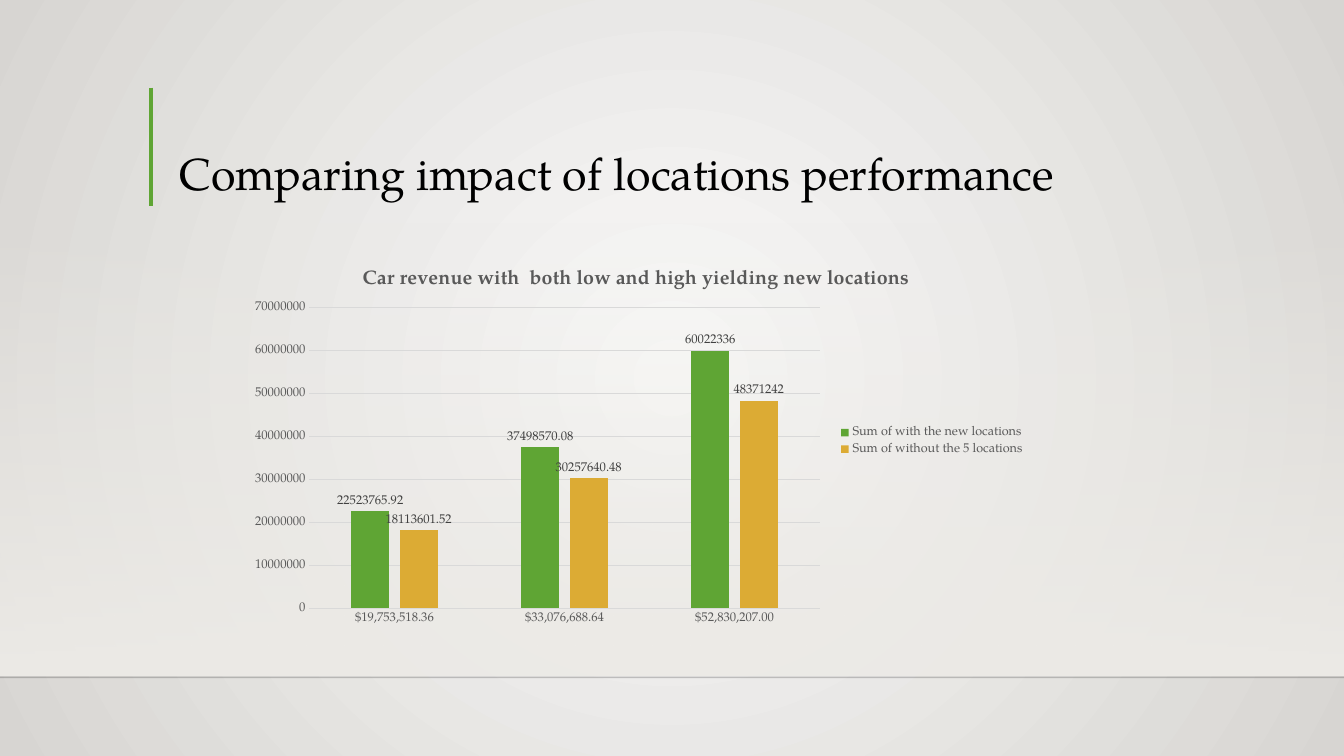
from lxml import etree
from pptx import Presentation
from pptx.chart import data as chart_data
from pptx.dml.color import RGBColor
from pptx.enum import chart as ch, shapes, text
from pptx.oxml import ns, parse_xml
from pptx.util import Cm, Pt

FONT = "TeX Gyre Pagella"
BLACK = RGBColor(0x00, 0x00, 0x00)
RULE = RGBColor(0x00, 0x00, 0x01)
GREEN = RGBColor(0x5F, 0xA5, 0x34)
GOLD = RGBColor(0xDC, 0xAB, 0x34)
AXIS_TEXT = RGBColor(0x59, 0x59, 0x59)
LABEL_TEXT = RGBColor(0x40, 0x40, 0x40)
GRID = RGBColor(0xD9, 0xD9, 0xD9)
CENTRE = RGBColor(0xFA, 0xFA, 0xF9)
EDGE = RGBColor(0xD7, 0xD5, 0xD2)
BAND = RGBColor(0xED, 0xEB, 0xE7)

CATEGORIES = ["$19,753,518.36", "$33,076,688.64", "$52,830,207.00"]
SERIES = [
    ("Sum of with the new locations", GREEN, (22523765.92, 37498570.08, 60022336)),
    ("Sum of without the 5 locations", GOLD, (18113601.52, 30257640.48, 48371242)),
]


def set_alpha(color_parent, percent):
    """Give the first RGB colour below an element an opacity."""
    color = next(color_parent.iter(ns.qn("a:srgbClr")))
    etree.SubElement(color, ns.qn("a:alpha")).set("val", str(percent * 1000))


def set_gradient(fill, start, end):
    fill.gradient()
    for stop, color in zip(fill.gradient_stops, (start, end)):
        stop.color.rgb = color


def style_font(font, size, color, bold=False):
    font.name = FONT
    font.size = Pt(size)
    font.color.rgb = color
    font.bold = bold


def paint_background(slide):
    """Fill the background with a gradient that spreads from the centre."""
    set_gradient(slide.background.fill, CENTRE, EDGE)
    linear = next(slide.element.iter(ns.qn("a:lin")))
    linear.getparent().replace(linear, parse_xml(
        f'<a:path {ns.nsdecls("a")} path="circle">'
        '<a:fillToRect l="50000" t="50000" r="50000" b="50000"/></a:path>'))


def add_band(slide):
    band = slide.shapes.add_shape(
        shapes.MSO_SHAPE.RECTANGLE, 0, Cm(5.59), Cm(33.87), Cm(11.43))
    band.shadow.inherit = False
    band.line.fill.background()
    set_gradient(band.fill, BAND, BAND)
    band.fill.gradient_angle = 270
    set_alpha(band.element.spPr, 0)


def add_line(slide, start, end, color, width):
    line = slide.shapes.add_connector(
        shapes.MSO_CONNECTOR.STRAIGHT, *map(Cm, start + end))
    line.line.color.rgb = color
    line.line.width = Pt(width)
    etree.SubElement(line.element.spPr, ns.qn("a:effectLst"))
    return line


def add_title(slide, wording):
    box = slide.shapes.add_textbox(Cm(4.27), Cm(2.24), Cm(26.44), Cm(2.92))
    frame = box.text_frame
    frame.word_wrap = True
    frame.vertical_anchor = text.MSO_ANCHOR.BOTTOM
    frame.text = wording
    paragraph = frame.paragraphs[0]
    paragraph.line_spacing = 0.9
    style_font(paragraph.runs[0].font, 32, BLACK)


def style_axis(axis):
    axis.major_tick_mark = axis.minor_tick_mark = ch.XL_TICK_MARK.NONE
    style_font(axis.tick_labels.font, 9, AXIS_TEXT)


def style_series(series, color):
    series.format.fill.solid()
    series.format.fill.fore_color.rgb = color
    series.invert_if_negative = False
    labels = series.data_labels
    labels.show_value = True
    labels.position = ch.XL_LABEL_POSITION.OUTSIDE_END
    style_font(labels.font, 9, LABEL_TEXT)


def place_plot(chart, **fractions):
    """Fix the inner plot area as fractions (x, y, w, h) of the chart."""
    plot_area = next(chart.element.iter(ns.qn("c:plotArea")))
    for old in plot_area.findall(ns.qn("c:layout")):
        plot_area.remove(old)
    values = "".join(f'<c:{key} val="{value}"/>' for key, value in fractions.items())
    plot_area.insert(0, parse_xml(
        f'<c:layout {ns.nsdecls("c")}><c:manualLayout><c:layoutTarget val="inner"/>'
        f'<c:xMode val="edge"/><c:yMode val="edge"/>{values}'
        '</c:manualLayout></c:layout>'))


def add_revenue_chart(slide):
    data = chart_data.CategoryChartData()
    data.categories = CATEGORIES
    for name, _, values in SERIES:
        data.add_series(name, values)
    chart = slide.shapes.add_chart(
        ch.XL_CHART_TYPE.COLUMN_CLUSTERED,
        Cm(5.99), Cm(6.32), Cm(20.09), Cm(9.58), data).chart
    style_font(chart.font, 10, BLACK)

    title = chart.chart_title.text_frame
    title.text = "Car revenue with  both low and high yielding new locations"
    style_font(title.paragraphs[0].runs[0].font, 14, AXIS_TEXT, bold=True)
    chart.chart_title.include_in_layout = False

    plot = chart.plots[0]
    plot.gap_width = 219
    plot.overlap = -27
    plot.vary_by_categories = False
    for series, (_, color, _) in zip(plot.series, SERIES):
        style_series(series, color)

    categories, revenue = chart.category_axis, chart.value_axis
    style_axis(categories)
    style_axis(revenue)
    revenue.minimum_scale, revenue.maximum_scale = 0, 70_000_000
    revenue.major_unit = 10_000_000
    revenue.format.line.fill.background()
    for line in (categories.format.line, revenue.major_gridlines.format.line):
        line.color.rgb = GRID
        line.width = Pt(0.75)

    chart.has_legend = True
    chart.legend.position = ch.XL_LEGEND_POSITION.RIGHT
    chart.legend.include_in_layout = False
    style_font(chart.legend.font, 9, AXIS_TEXT)
    place_plot(chart, x=0.09, y=0.15, w=0.64, h=0.79)


def main():
    presentation = Presentation()
    presentation.slide_width = Cm(33.87)
    presentation.slide_height = Cm(19.05)
    slide = presentation.slides.add_slide(presentation.slide_layouts[6])
    paint_background(slide)
    add_band(slide)
    floor = add_line(slide, (0, 17.07), (33.87, 17.07), RULE, 1)
    set_alpha(floor.element.spPr, 20)
    add_line(slide, (3.81, 2.21), (3.81, 5.18), GREEN, 3)
    add_title(slide, "Comparing impact of locations performance")
    add_revenue_chart(slide)
    presentation.save("out.pptx")


if __name__ == "__main__":
    main()
